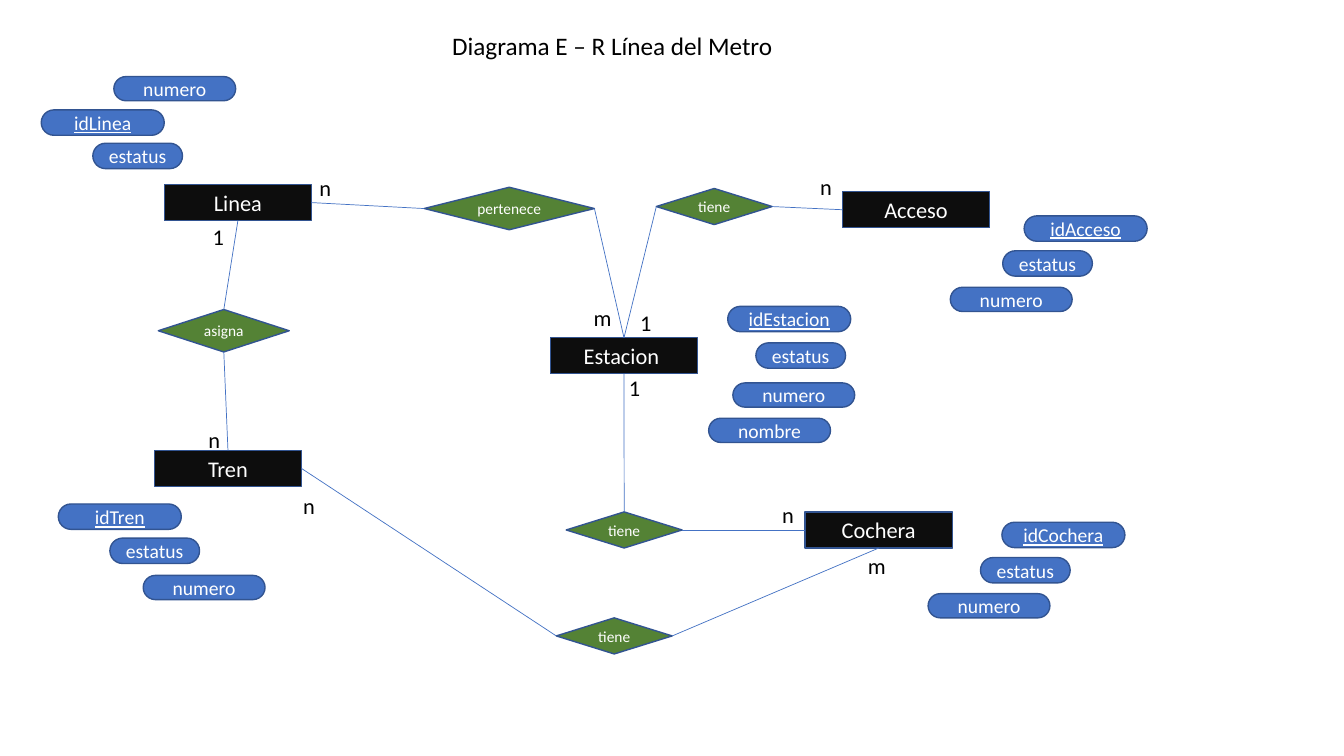
import pptx
import pptx.util
import pptx.dml.color
import pptx.enum.shapes
import pptx.enum.text
import pptx.oxml
from dataclasses import dataclass

Cm = pptx.util.Cm
Pt = pptx.util.Pt
KIND = pptx.enum.shapes.MSO_SHAPE
ALIGN = pptx.enum.text.PP_ALIGN
ANCHOR = pptx.enum.text.MSO_ANCHOR
TOP, LEFT, BOTTOM, RIGHT = range(4)

# Content: places and sizes in centimetres
TITLE = ("Diagrama E – R Línea del Metro", (9.12, 0.64, 12.62, 1.02))

BOX = (3.71, 0.91)
ENTITIES = {  # key: (text, left, top)
    "linea": ("Linea", 4.14, 4.65),
    "tren": ("Tren", 3.89, 11.35),
    "estacion": ("Estacion ", 13.87, 8.51),
    "acceso": ("Acceso", 21.23, 4.83),
    "cochera": ("Cochera", 20.29, 12.9),
}

SMALL, MID, WIDE = (2.92, 0.91), (3.3, 1.07), (4.29, 1.07)
RELATIONS = {  # key: (text, left, top, size)
    "asigna": ("asigna", 3.99, 7.8, MID),
    "pertenece": ("pertenece", 10.69, 4.72, WIDE),
    "entrada": ("tiene", 16.54, 4.75, SMALL),
    "garaje": ("tiene", 14.27, 12.9, SMALL),
    "guarda": ("tiene", 14.02, 15.57, SMALL),
}

KEY_PILL, PILL = (3.1, 0.64), (3.07, 0.61)
PILLS = {"estatus": (2.26, 0.64)}
FIELDS = [  # (text, left, top); a name starting with "id" is a key
    ("idLinea", 1.04, 2.77), ("estatus", 2.34, 3.61), ("numero", 2.87, 1.93),
    ("idTren", 1.47, 12.7), ("estatus", 2.77, 13.56), ("numero", 3.61, 14.5),
    ("idCochera", 25.25, 13.16), ("estatus", 24.71, 14.05), ("numero", 23.39, 14.96),
    ("idAcceso", 25.81, 5.44), ("estatus", 25.27, 6.32), ("numero", 23.95, 7.24),
    ("idEstacion", 18.34, 7.72), ("estatus", 19.05, 8.64), ("numero", 18.47, 9.65),
    ("nombre", 17.86, 10.54),
]

LINKS = [  # (from, side, to, side)
    ("linea", BOTTOM, "asigna", TOP),
    ("asigna", BOTTOM, "tren", TOP),
    ("tren", RIGHT, "guarda", LEFT),
    ("guarda", RIGHT, "cochera", BOTTOM),
    ("linea", RIGHT, "pertenece", LEFT),
    ("pertenece", RIGHT, "estacion", TOP),
    ("entrada", LEFT, "estacion", TOP),
    ("acceso", LEFT, "entrada", RIGHT),
    ("garaje", RIGHT, "cochera", LEFT),
    ("estacion", BOTTOM, "garaje", TOP),
]

COUNT = (0.79, 0.94)
COUNTS = [  # (text, left, top)
    ("1", 5.11, 5.51), ("n", 5.0, 10.62), ("n", 7.39, 12.27), ("m", 21.62, 13.79),
    ("1", 15.6, 9.3), ("n", 19.46, 12.5), ("n", 7.8, 4.27), ("m", 14.71, 7.54),
    ("n", 20.42, 4.24), ("1", 15.88, 7.67),
]


@dataclass
class Theme:
    font: str = "Calibri"
    ink: str = "000000"
    white: str = "FFFFFF"
    black: str = "0D0D0D"
    green: str = "548235"
    blue: str = "4472C4"
    edge: str = "325491"
    title: int = 18
    entity: int = 16
    field: int = 14
    relation: int = 11
    count: int = 16


theme = Theme()


def rgb(code):
    return pptx.dml.color.RGBColor.from_string(code)


def write(frame, text, size, color, align, under=None):
    frame.text = text
    line = frame.paragraphs[0]
    line.alignment = align
    for run in line.runs:
        font = run.font
        font.name, font.size, font.underline = theme.font, Pt(size), under
        font.color.rgb = rgb(color)


def add_node(slide, kind, text, place, fill, size, under=None):
    node = slide.shapes.add_shape(kind, *map(Cm, place))
    node.shadow.inherit = False
    node.fill.solid()
    node.fill.fore_color.rgb = rgb(fill)
    node.line.color.rgb = rgb(theme.edge)
    node.line.width = Pt(1)
    node.text_frame.vertical_anchor = ANCHOR.MIDDLE
    write(node.text_frame, text, size, theme.white, ALIGN.CENTER, under)
    return node


def add_link(slide, start, side, end, other):
    link = slide.shapes.add_connector(pptx.enum.shapes.MSO_CONNECTOR.STRAIGHT, 0, 0, 0, 0)
    link.begin_connect(start, side)
    link.end_connect(end, other)
    link.line.color.rgb = rgb(theme.blue)
    link.line.width = Pt(0.5)
    props = link.element.spPr
    props.append(pptx.oxml.parse_xml(
        '<a:effectLst xmlns:a="http://schemas.openxmlformats.org/drawingml/2006/main"/>'))


def main():
    deck = pptx.Presentation()
    deck.slide_width, deck.slide_height = Cm(33.87), Cm(19.05)
    slide = deck.slides.add_slide(deck.slide_layouts[5])

    # Title
    text, place = TITLE
    title = slide.shapes.title
    title.left, title.top, title.width, title.height = map(Cm, place)
    title.text_frame.vertical_anchor = ANCHOR.TOP
    title.text_frame.auto_size = pptx.enum.text.MSO_AUTO_SIZE.SHAPE_TO_FIT_TEXT
    write(title.text_frame, text, theme.title, theme.ink, ALIGN.CENTER)

    # Entities and relations
    nodes = {}
    for key, (text, left, top) in ENTITIES.items():
        nodes[key] = add_node(slide, KIND.RECTANGLE, text, (left, top, *BOX),
                              theme.black, theme.entity)
    for key, (text, left, top, size) in RELATIONS.items():
        nodes[key] = add_node(slide, KIND.DIAMOND, text, (left, top, *size),
                              theme.green, theme.relation)

    # Attributes
    for text, left, top in FIELDS:
        is_key = text.startswith("id")
        size = KEY_PILL if is_key else PILLS.get(text, PILL)
        pill = add_node(slide, KIND.ROUNDED_RECTANGLE, text, (left, top, *size),
                        theme.blue, theme.field, is_key or None)
        pill.adjustments[0] = 0.5

    # Links
    for start, side, end, other in LINKS:
        add_link(slide, nodes[start], side, nodes[end], other)

    # Cardinalities
    for text, left, top in COUNTS:
        label = slide.shapes.add_textbox(*map(Cm, (left, top, *COUNT)))
        label.text_frame.word_wrap = True
        write(label.text_frame, text, theme.count, theme.ink, ALIGN.LEFT)

    deck.save("out.pptx")


if __name__ == "__main__":
    main()
